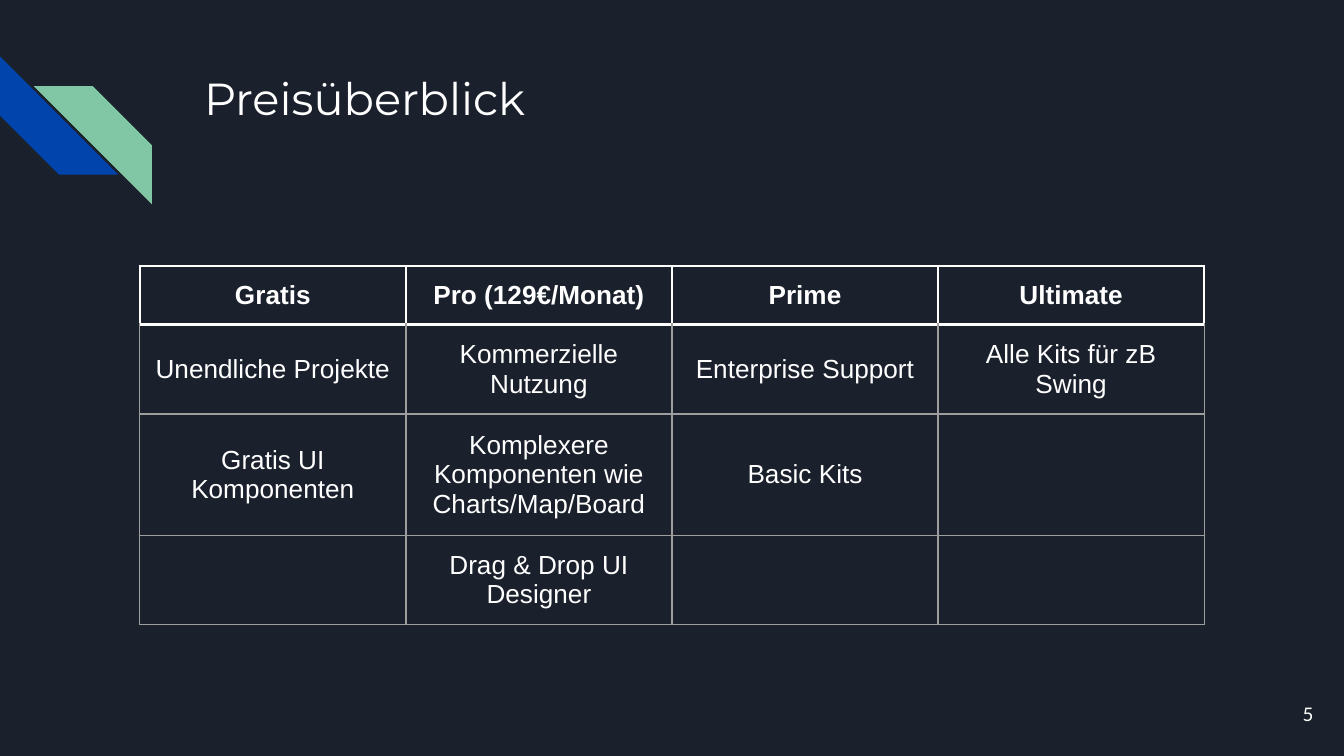
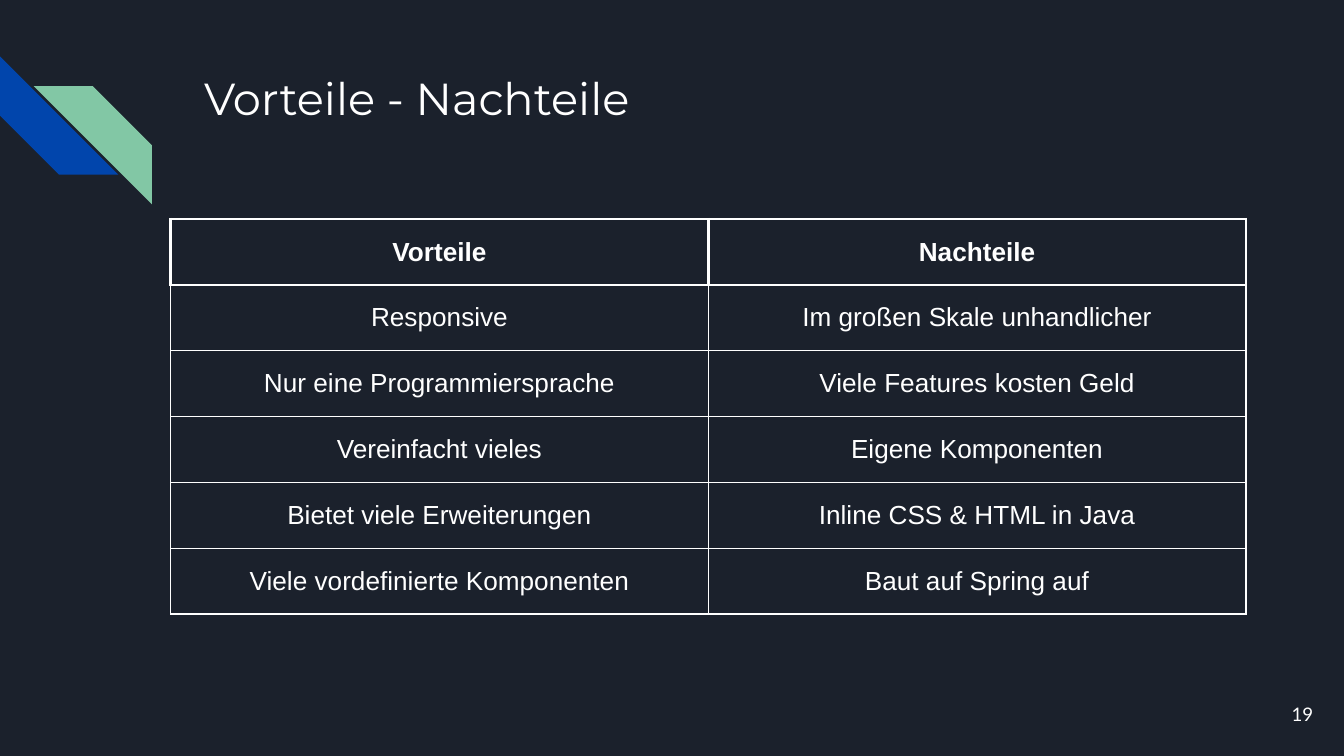
"""Build two table slides on pricing and on pros and cons."""
from dataclasses import dataclass

from lxml.etree import SubElement
from pptx import Presentation
from pptx.dml.color import RGBColor
from pptx.enum.shapes import MSO_SHAPE
from pptx.enum.text import MSO_ANCHOR, PP_ALIGN
from pptx.oxml.ns import qn
from pptx.oxml.xmlchemy import OxmlElement
from pptx.slide import Slide
from pptx.table import _Cell
from pptx.text.text import TextFrame
from pptx.util import Inches, Pt


@dataclass(frozen=True)
class TextStyle:
    font: str
    size: int
    align: PP_ALIGN
    anchor: MSO_ANCHOR


@dataclass(frozen=True)
class Theme:
    background: str = "1B212C"
    text: str = "FFFFFF"
    blue: str = "0145AC"
    green: str = "82C7A5"
    grid: str = "9E9E9E"
    thin_line: float = 0.75
    thick_line: float = 1.5
    inset: float = 0.1
    title: TextStyle = TextStyle("Montserrat", 24, PP_ALIGN.LEFT, MSO_ANCHOR.TOP)
    cell: TextStyle = TextStyle("Arial", 14, PP_ALIGN.CENTER, MSO_ANCHOR.MIDDLE)
    number: TextStyle = TextStyle("Lato", 10, PP_ALIGN.RIGHT, MSO_ANCHOR.MIDDLE)


@dataclass(frozen=True)
class Box:
    left: float
    top: float
    width: float
    height: float

    def lengths(self) -> list[int]:
        """Return the four sides as lengths."""
        return [Inches(side) for side in (self.left, self.top, self.width, self.height)]


@dataclass(frozen=True)
class Stripe:
    box: Box
    color: str
    rotation: int = 0
    flipped: bool = False


@dataclass(frozen=True)
class TableSlide:
    title: str
    number: int
    frame: Box
    column_width: float
    row_height: float
    grid: str
    rows: tuple[tuple[str, ...], ...]


THEME = Theme()
SLIDE_WIDTH = Inches(10)
SLIDE_HEIGHT = SLIDE_WIDTH * 9 // 16
TITLE_BOX = Box(1.42, 0.43, 7.7, 1)
NUMBER_BOX = Box(9.27, 5.1, 0.6, 0.43)
STRIPES = (
    Stripe(Box(0, 0.42, 0.88, 0.88), THEME.blue, rotation=270),
    Stripe(Box(0.25, 0.64, 0.88, 0.88), THEME.green, flipped=True),
)
SLIDES = (
    TableSlide("Preisüberblick", 5, Box(1.04, 1.98, 3.28, 3.28), 1.98, 0.42, THEME.grid, (
        ("Gratis", "Pro (129€/Monat)", "Prime", "Ultimate"),
        ("Unendliche Projekte", "Kommerzielle Nutzung", "Enterprise Support",
         "Alle Kits für zB Swing"),
        ("Gratis UI Komponenten", "Komplexere Komponenten wie Charts/Map/Board",
         "Basic Kits", ""),
        ("", "Drag & Drop UI Designer", "", ""),
    )),
    TableSlide("Vorteile - Nachteile", 19, Box(1.27, 1.63, 3.28, 3.28), 4, 0.49, THEME.text, (
        ("Vorteile", "Nachteile"),
        ("Responsive", "Im großen Skale unhandlicher"),
        ("Nur eine Programmiersprache", "Viele Features kosten Geld"),
        ("Vereinfacht vieles", "Eigene Komponenten"),
        ("Bietet viele Erweiterungen", "Inline CSS & HTML in Java"),
        ("Viele vordefinierte Komponenten", "Baut auf Spring auf"),
    )),
)


def apply_format(target: object, values: dict[str, object]) -> None:
    """Set each named attribute of the target."""
    for name, value in values.items():
        setattr(target, name, value)


def margins() -> dict[str, int]:
    """Return the inset shared by text boxes and cells."""
    return {f"margin_{side}": Inches(THEME.inset) for side in ("left", "top", "right", "bottom")}


def write_text(frame: TextFrame, text: str, style: TextStyle, bold: bool = False) -> None:
    """Write one styled paragraph into a text frame."""
    paragraph = frame.paragraphs[0]
    paragraph.alignment = style.align
    run = paragraph.add_run()
    run.text = text
    apply_format(run.font, {"name": style.font, "size": Pt(style.size), "bold": bold})
    run.font.color.rgb = RGBColor.from_string(THEME.text)


def add_text(slide: Slide, box: Box, text: str, style: TextStyle) -> None:
    """Add a wrapped text box."""
    frame = slide.shapes.add_textbox(*box.lengths()).text_frame
    apply_format(frame, {"word_wrap": True, "vertical_anchor": style.anchor, **margins()})
    write_text(frame, text, style)


def add_stripes(slide: Slide) -> None:
    """Add the grouped diagonal stripes beside the title."""
    group = slide.shapes.add_group_shape()
    for stripe in STRIPES:
        shape = group.shapes.add_shape(MSO_SHAPE.DIAGONAL_STRIPE, *stripe.box.lengths())
        shape.adjustments[0] = 0.5
        shape.rotation = stripe.rotation
        shape.shadow.inherit = False
        shape.fill.solid()
        shape.fill.fore_color.rgb = RGBColor.from_string(stripe.color)
        shape.line.fill.background()
        if stripe.flipped:
            shape.element.spPr.get_or_add_xfrm().set("flipH", "1")


def set_borders(cell: _Cell, borders: dict[str, tuple[str, float]]) -> None:
    """Draw the cell borders, keyed by side."""
    properties = cell._tc.get_or_add_tcPr()
    for position, side in enumerate("LRTB"):
        color, width = borders[side]
        line = OxmlElement(f"a:ln{side}")
        line.set("w", str(Pt(width)))
        fill = SubElement(line, qn("a:solidFill"))
        SubElement(fill, qn("a:srgbClr")).set("val", color)
        properties.insert(position, line)


def add_table(slide: Slide, content: TableSlide) -> None:
    """Add the bordered table with its bold heading row."""
    box = content.frame
    graphic_frame = slide.shapes.add_table(len(content.rows), len(content.rows[0]), *box.lengths())
    table = graphic_frame.table
    apply_format(table, {"first_row": False, "horz_banding": False})
    for column in table.columns:
        column.width = Inches(content.column_width)
    for row in table.rows:
        row.height = Inches(content.row_height)
    apply_format(graphic_frame, {"width": Inches(box.width), "height": Inches(box.height)})
    thick, thin = (THEME.text, THEME.thick_line), (content.grid, THEME.thin_line)
    for row_index, texts in enumerate(content.rows):
        heading = row_index == 0
        borders = dict.fromkeys("LRTB", thick if heading else thin)
        if row_index == 1:
            borders["T"] = thick
        for column_index, text in enumerate(texts):
            cell = table.cell(row_index, column_index)
            apply_format(cell, {"vertical_anchor": THEME.cell.anchor, **margins()})
            cell.fill.background()
            if text:
                write_text(cell.text_frame, text, THEME.cell, heading)
            set_borders(cell, borders)


def build_presentation() -> None:
    """Build and save the slides."""
    presentation = Presentation()
    apply_format(presentation, {"slide_width": SLIDE_WIDTH, "slide_height": SLIDE_HEIGHT})
    for content in SLIDES:
        slide = presentation.slides.add_slide(presentation.slide_layouts[6])
        slide.background.fill.solid()
        slide.background.fill.fore_color.rgb = RGBColor.from_string(THEME.background)
        add_stripes(slide)
        add_text(slide, TITLE_BOX, content.title, THEME.title)
        add_table(slide, content)
        add_text(slide, NUMBER_BOX, str(content.number), THEME.number)
    presentation.save("out.pptx")


if __name__ == "__main__":
    build_presentation()
